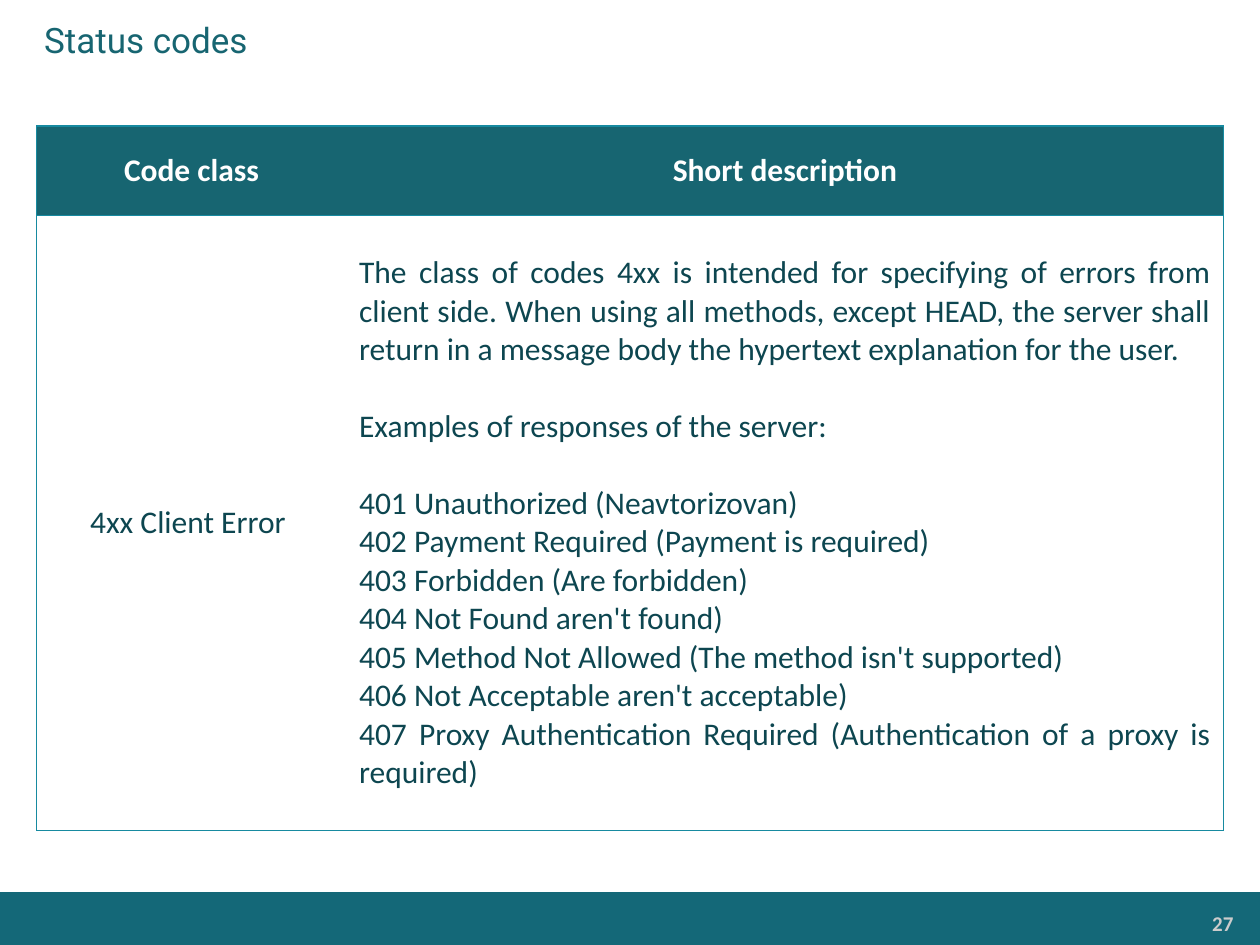
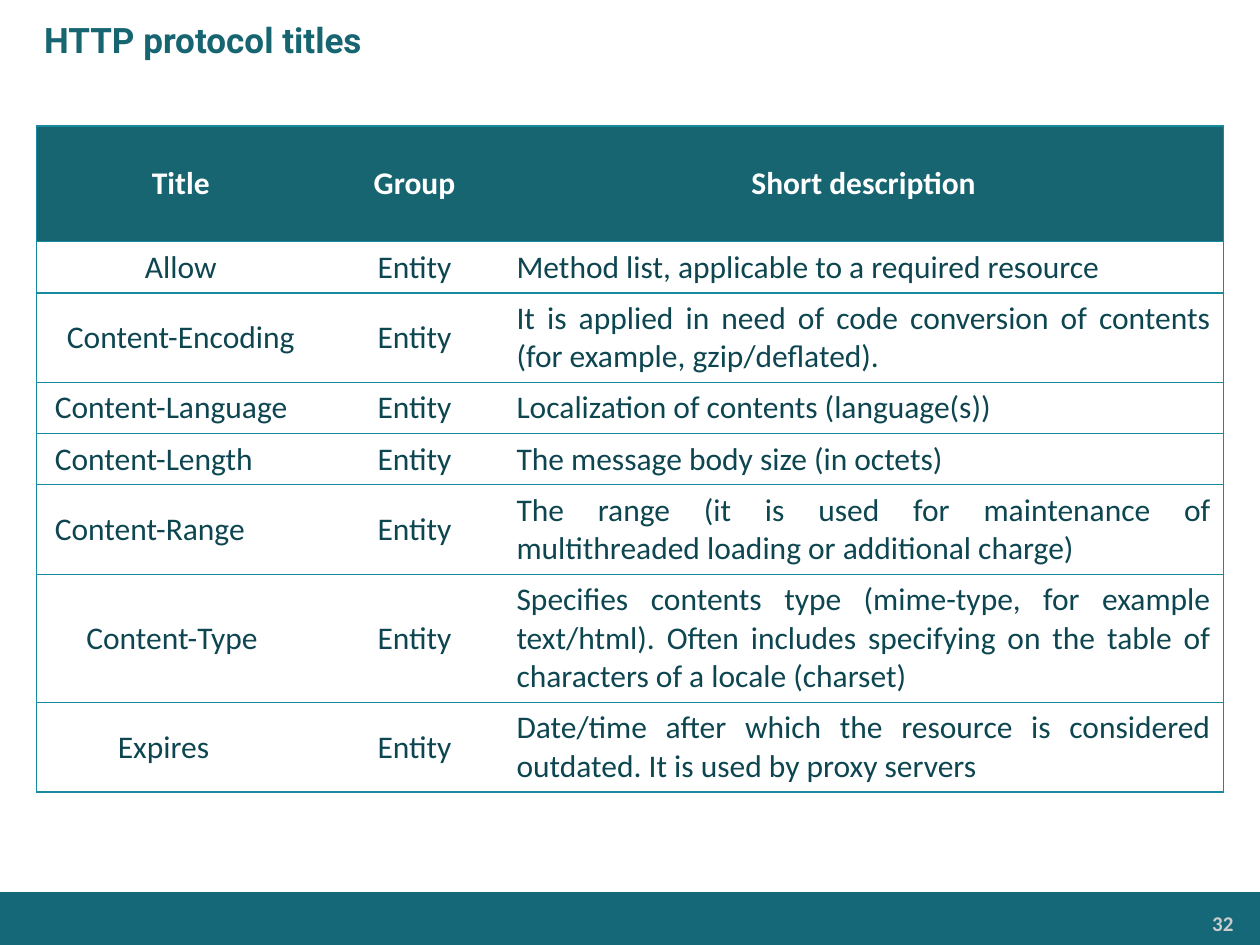
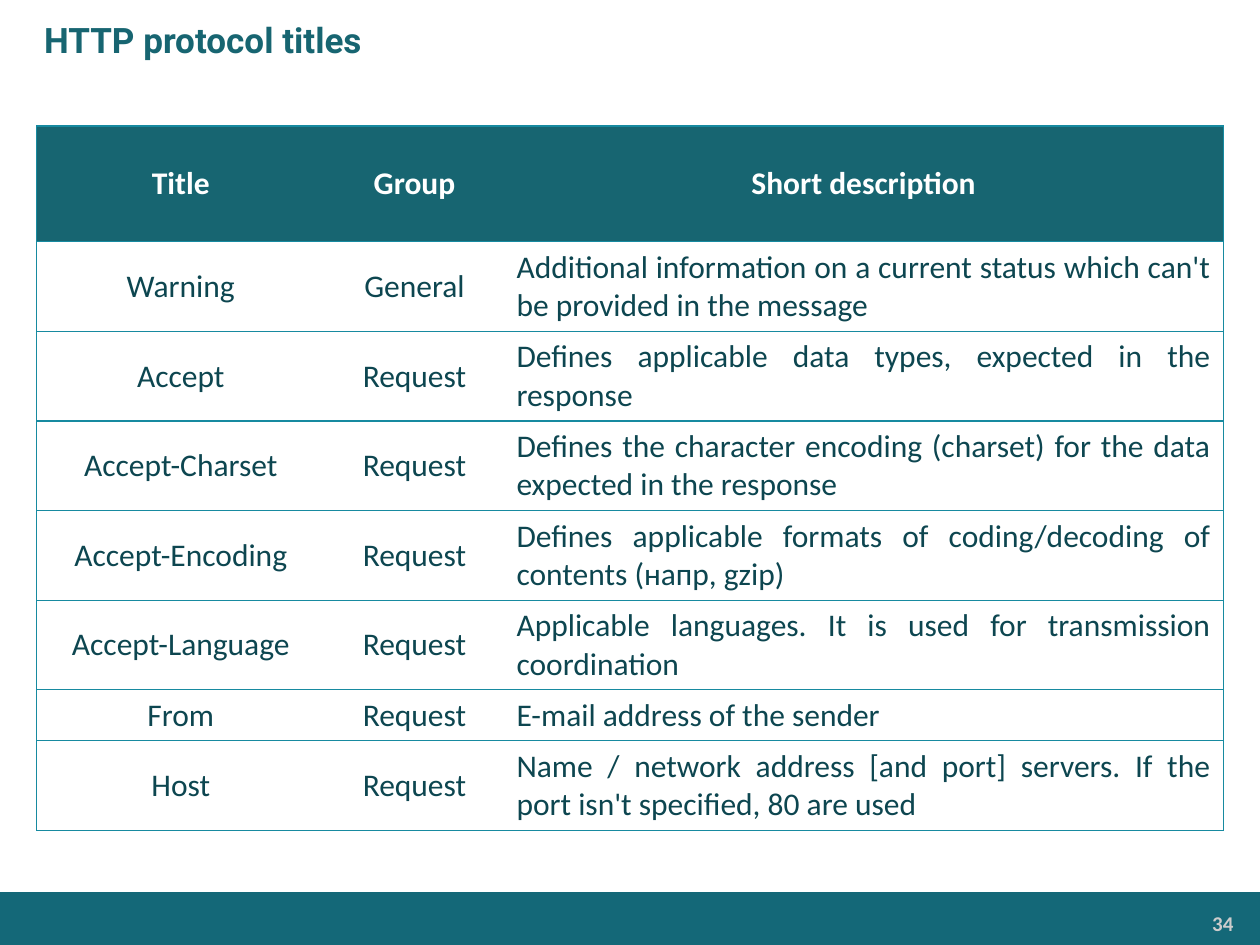
from dataclasses import dataclass

import pptx
import pptx.dml.color
import pptx.enum.shapes
import pptx.enum.text
import pptx.oxml
import pptx.oxml.ns
import pptx.util
from pptx.util import Inches, Pt

COLOURS = {
    "band": "146878",
    "heading": "176571",
    "border": "178AA0",
    "body": "0D4650",
    "header text": "FFFFFF",
    "page number": "CCCCCC",
}
ALIGN = pptx.enum.text.PP_ALIGN
MIDDLE = pptx.enum.text.MSO_ANCHOR.MIDDLE
LINE_HEIGHT = Pt(22)
CELL_PADDING = Inches(0.1)


@dataclass(frozen=True)
class Row:
    """The texts of one table row; the last one may have several blocks of lines."""

    labels: tuple[str, ...]
    blocks: tuple[tuple[str, ...], ...]
    height: int


@dataclass(frozen=True)
class TablePage:
    number: int
    title: str
    bold_title: bool
    column_widths: tuple[float, ...]
    header: Row
    rows: tuple[Row, ...]


def entry(name: str, group: str, description: str, lines: int) -> Row:
    """A row as tall as its description, given in text lines."""
    height = CELL_PADDING + lines * LINE_HEIGHT
    return Row((name, group), ((description,),), height)


def title_page(number: int, rows: tuple[Row, ...]) -> TablePage:
    header = Row(("Title", "Group"), (("Short description",),), Inches(0.92))
    return TablePage(number, "HTTP protocol titles", True, (2.29, 1.42, 5.71), header, rows)


STATUS_CODES = TablePage(
    27, "Status codes", False, (2.46, 6.96),
    Row(("Code class",), (("Short description",),), Inches(0.71)),
    (
        Row(
            ("4xx Client Error ",),
            (
                ("The class of codes 4xx is intended for specifying of errors from client side. "
                 "When using all methods, except HEAD, the server shall return in a message body "
                 "the hypertext explanation for the user.",),
                ("Examples of responses of the server:",),
                (
                    "401 Unauthorized (Neavtorizovan)",
                    "402 Payment Required (Payment is required)",
                    "403 Forbidden (Are forbidden)",
                    "404 Not Found aren't found)",
                    "405 Method Not Allowed (The method isn't supported)",
                    "406 Not Acceptable aren't acceptable)",
                    "407 Proxy Authentication Required (Authentication of a proxy is required)",
                ),
            ),
            Inches(4.88),
        ),
    ),
)

ENTITY_TITLES = title_page(32, (
    entry("Allow", "Entity", "Method list, applicable to a required resource", 1),
    entry("Content-Encoding", "Entity",
          "It is applied in need of code conversion of contents "
          "(for example, gzip/deflated).", 2),
    entry("Content-Language\t", "Entity", "Localization of contents (language(s))", 1),
    entry("Content-Length\t", "Entity", "The message body size (in octets)", 1),
    entry("Content-Range\t", "Entity",
          "The range (it is used for maintenance of multithreaded loading "
          "or additional charge)", 2),
    entry("Content-Type\t", "Entity",
          "Specifies contents type (mime-type, for example text/html). Often includes "
          "specifying on the table of characters of a locale (charset)", 3),
    entry("Expires\t", "Entity",
          "Date/time after which the resource is considered outdated. "
          "It is used by proxy servers", 2),
))

REQUEST_TITLES = title_page(34, (
    entry("Warning", "General",
          "Additional information on a current status which can't be provided "
          "in the message", 2),
    entry("Accept", "Request", "Defines applicable data types, expected in the response", 2),
    entry("Accept-Charset", "Request",
          "Defines the character encoding (charset) for the data expected in the response", 2),
    entry("Accept-Encoding", "Request",
          "Defines applicable formats of coding/decoding of contents (напр, gzip)", 2),
    entry("Accept-Language", "Request",
          "Applicable languages. It is used for transmission coordination", 2),
    entry("From", "Request", "E-mail address of the sender", 1),
    entry("Host", "Request",
          "Name / network address [and port] servers. If the port isn't specified, "
          "80 are used", 2),
))


def colour(name: str) -> pptx.dml.color.RGBColor:
    return pptx.dml.color.RGBColor.from_string(COLOURS[name])


def style(para, size: int, font: str, colour_name: str, bold: bool, alignment) -> None:
    para.alignment = alignment
    para.font.size = Pt(size)
    para.font.name = font
    para.font.bold = bold
    para.font.color.rgb = colour(colour_name)


def add_title(page, text: str, bold: bool) -> None:
    box = page.shapes.add_textbox(0, 0, Inches(10), Inches(0.63))
    frame = box.text_frame
    frame.word_wrap = True
    frame.vertical_anchor = MIDDLE
    frame.margin_left = Inches(0.35)
    frame.text = text
    style(frame.paragraphs[0], 20, "Roboto", "heading", bold, ALIGN.LEFT)


def add_footer(page, number: int) -> None:
    band = page.shapes.add_shape(pptx.enum.shapes.MSO_SHAPE.RECTANGLE,
                                 0, Inches(7.08), Inches(10), Inches(0.42))
    band.shadow.inherit = False
    band.fill.solid()
    band.fill.fore_color.rgb = colour("band")
    band.line.fill.background()

    box = page.shapes.add_textbox(Inches(8.23), Inches(7.19), Inches(1.63), Inches(0.28))
    frame = box.text_frame
    frame.word_wrap = True
    frame.margin_left = frame.margin_right = Inches(0.07)
    frame.margin_top = frame.margin_bottom = Inches(0.04)
    frame.text = str(number)
    style(frame.paragraphs[0], 12, "Calibri", "page number", True, ALIGN.RIGHT)


def set_borders(cell, left: bool, right: bool) -> None:
    """Rule the cell above and below, and at the sides only where asked."""
    properties = cell._tc.get_or_add_tcPr()
    namespace = pptx.oxml.ns.nsdecls("a")
    solid = f'<a:solidFill><a:srgbClr val="{COLOURS["border"]}"/></a:solidFill>'
    for side, visible in (("L", left), ("R", right), ("T", True), ("B", True)):
        fill = solid if visible else "<a:noFill/>"
        properties.append(pptx.oxml.parse_xml(
            f'<a:ln{side} {namespace} w="{Pt(0.75)}">{fill}</a:ln{side}>'))


def fill_cell(cell, blocks: tuple[tuple[str, ...], ...], header: bool, alignment) -> None:
    cell.vertical_anchor = MIDDLE
    if header:
        cell.fill.solid()
        cell.fill.fore_color.rgb = colour("heading")
    else:
        cell.fill.background()
    frame = cell.text_frame
    frame.text = "\n".join(line for block in blocks for line in block)
    paragraphs = iter(frame.paragraphs)
    for block_index, block in enumerate(blocks):
        for line_index in range(len(block)):
            para = next(paragraphs)
            style(para, 18, "Calibri", "header text" if header else "body", header, alignment)
            if block_index > 0 and line_index == 0:
                para.space_before = LINE_HEIGHT


def add_table(page, content: TablePage) -> None:
    rows = (content.header, *content.rows)
    widths = [Inches(width) for width in content.column_widths]
    last = len(widths) - 1
    table = page.shapes.add_table(len(rows), len(widths), Inches(0.29), Inches(1),
                                  sum(widths), sum(row.height for row in rows)).table
    table.horz_banding = False
    for column, width in zip(table.columns, widths):
        column.width = width
    for row_index, row in enumerate(rows):
        table.rows[row_index].height = row.height
        header = row_index == 0
        cell_blocks = [((label,),) for label in row.labels] + [row.blocks]
        for column_index, blocks in enumerate(cell_blocks):
            cell = table.cell(row_index, column_index)
            set_borders(cell, column_index == 0, column_index == last)
            justified = column_index == last and not header
            fill_cell(cell, blocks, header, ALIGN.JUSTIFY if justified else ALIGN.CENTER)


def main() -> None:
    deck = pptx.Presentation()
    deck.slide_width, deck.slide_height = Inches(10), Inches(7.5)
    for content in (STATUS_CODES, ENTITY_TITLES, REQUEST_TITLES):
        page = deck.slides.add_slide(deck.slide_layouts[6])
        add_footer(page, content.number)
        add_title(page, content.title, content.bold_title)
        add_table(page, content)
    deck.save("out.pptx")


if __name__ == "__main__":
    main()
